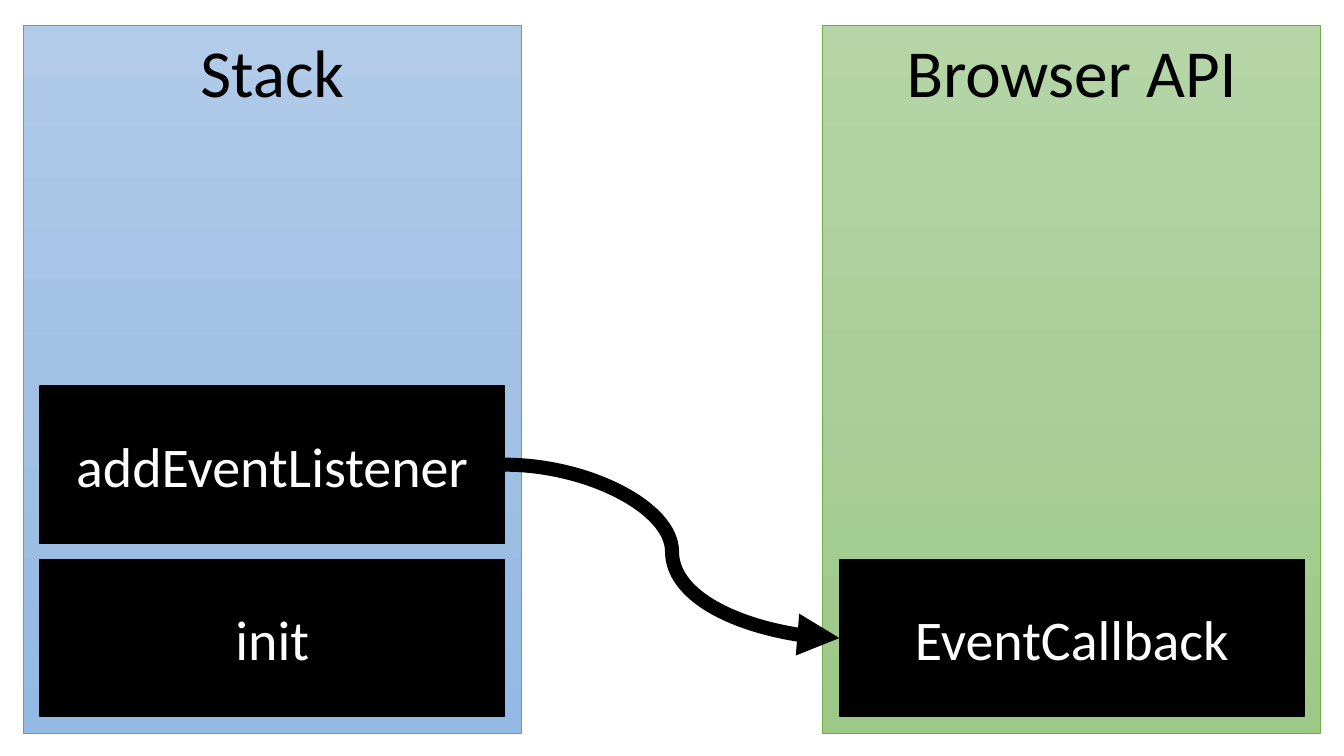
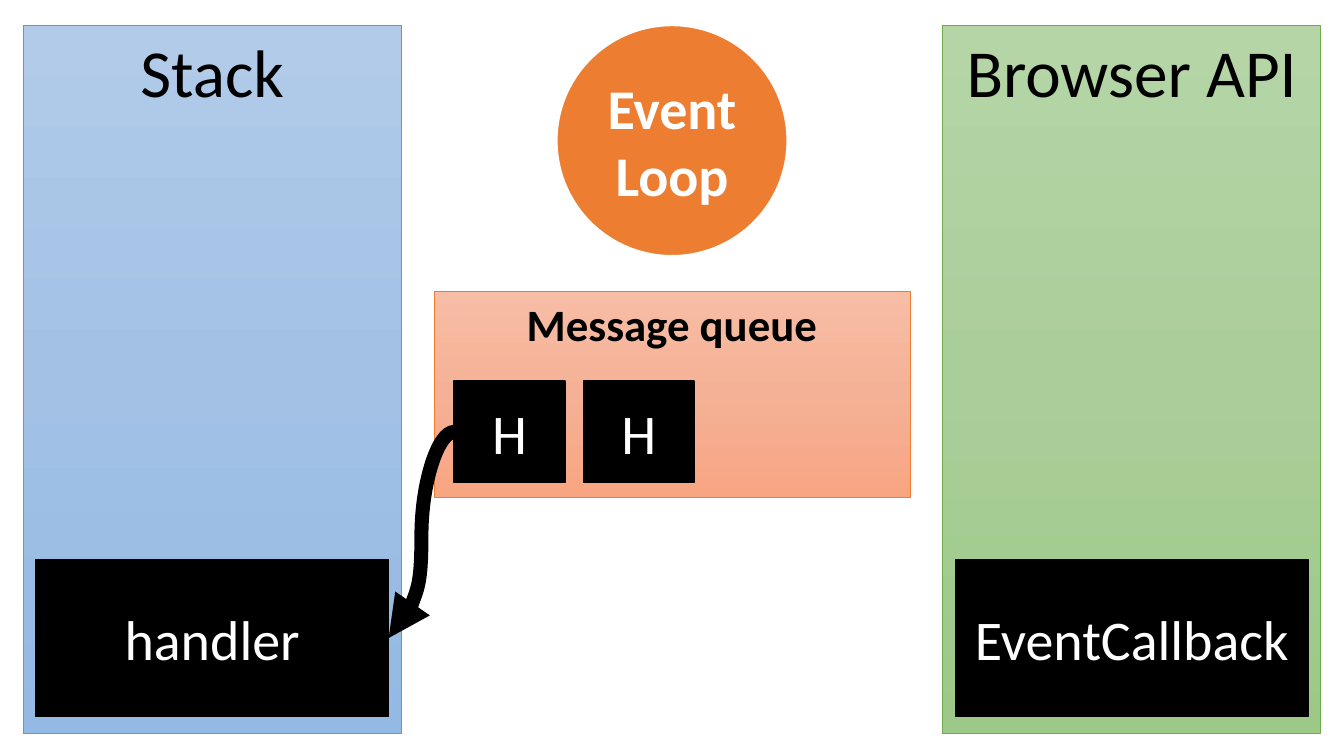
"""Build two slides showing how a browser schedules event callbacks."""
import copy
from dataclasses import dataclass

import lxml.etree
import pptx
import pptx.dml.color
import pptx.enum.shapes
import pptx.enum.text
import pptx.oxml.ns
import pptx.util

Inches = pptx.util.Inches
Pt = pptx.util.Pt
RGBColor = pptx.dml.color.RGBColor
Shapes = pptx.enum.shapes.MSO_SHAPE
Anchor = pptx.enum.text.MSO_ANCHOR
qn = pptx.oxml.ns.qn


@dataclass(frozen=True)
class Theme:
    font: str = "Calibri"
    black: str = "000000"
    white: str = "FFFFFF"
    orange: str = "ED7D31"
    blue_panel: tuple = ("B1CBE9", "A3C1E5", "93B9E4", "5B9BD5")
    green_panel: tuple = ("B5D5A7", "AACE9A", "9CC987", "70AD47")
    orange_panel: tuple = ("F7BDA5", "F5B196", "F8A582", "ED7D31")
    title_size: int = 48
    block_size: int = 40
    queue_size: int = 32
    arrow_width: int = 10


THEME = Theme()
SLIDE_WIDTH, SLIDE_HEIGHT = 13.33, 7.5
MARGIN, COLUMN_TOP, COLUMN_HEIGHT = 0.23, 0.25, 7.03
BLOCK_TOP, BLOCK_HEIGHT, BLOCK_STEP = 5.55, 1.56, 1.72
LEFT_SITE, RIGHT_SITE = 1, 3


def color(value):
    return RGBColor.from_string(value)


def add_box(slide, kind, box, text, size, ink, line, line_width, anchor=Anchor.MIDDLE, bold=False):
    shape = slide.shapes.add_shape(kind, *(Inches(length) for length in box))
    shape.shadow.inherit = False
    shape.line.color.rgb = color(line)
    shape.line.width = Pt(line_width)
    shape.text_frame.text = text
    shape.text_frame.word_wrap = True
    shape.text_frame.vertical_anchor = anchor
    for paragraph in shape.text_frame.paragraphs:
        paragraph.alignment = pptx.enum.text.PP_ALIGN.CENTER
        for run in paragraph.runs:
            run.font.name = THEME.font
            run.font.size = Pt(size)
            run.font.bold = bold
            run.font.color.rgb = color(ink)
    return shape


def fill_solid(shape, value):
    shape.fill.solid()
    shape.fill.fore_color.rgb = color(value)


def fill_gradient(shape, values):
    shape.fill.gradient()
    shape.fill.gradient_angle = 270
    stop_list = shape._element.spPr.find(".//" + qn("a:gsLst"))
    stop_list.append(copy.deepcopy(stop_list[-1]))
    for index, (stop, value) in enumerate(zip(shape.fill.gradient_stops, values)):
        stop.position = index / (len(values) - 1)
        stop.color.rgb = color(value)


def add_panel(slide, box, title, size, palette, bold=False):
    *gradient, line = palette
    panel = add_box(slide, Shapes.RECTANGLE, box, title, size, THEME.black, line, 0.5, Anchor.TOP, bold)
    fill_gradient(panel, gradient)


def add_block(slide, box, text):
    block = add_box(slide, Shapes.RECTANGLE, box, text, THEME.block_size, THEME.white, THEME.black, 1)
    fill_solid(block, THEME.black)
    return block


def add_column(slide, left, width, title, palette, block_width, calls):
    add_panel(slide, (left, COLUMN_TOP, width, COLUMN_HEIGHT), title, THEME.title_size, palette)
    block_left = left + (width - block_width) / 2
    return [
        add_block(slide, (block_left, BLOCK_TOP - level * BLOCK_STEP, block_width, BLOCK_HEIGHT), call)
        for level, call in enumerate(calls)
    ]


def add_columns(slide, width, block_width, stack_calls, browser_calls):
    right_column = SLIDE_WIDTH - MARGIN - width
    stack = add_column(slide, MARGIN, width, "Stack", THEME.blue_panel, block_width, stack_calls)
    browser = add_column(
        slide, right_column, width, "Browser API", THEME.green_panel, block_width, browser_calls
    )
    return stack, browser


def add_arrow(slide, source, source_site, target, target_site):
    connector = slide.shapes.add_connector(pptx.enum.shapes.MSO_CONNECTOR.CURVE, 0, 0, 0, 0)
    connector.begin_connect(source, source_site)
    connector.end_connect(target, target_site)
    connector.line.color.rgb = color(THEME.black)
    connector.line.width = Pt(THEME.arrow_width)
    properties = connector._element.spPr
    lxml.etree.SubElement(properties.find(qn("a:ln")), qn("a:tailEnd"), type="triangle")
    lxml.etree.SubElement(properties, qn("a:effectLst"))


def add_event_loop(slide):
    diameter = 2.29
    box = ((SLIDE_WIDTH - diameter) / 2, COLUMN_TOP, diameter, diameter)
    circle = add_box(
        slide, Shapes.OVAL, box, "Event\nLoop", THEME.block_size, THEME.white, THEME.white, 1.5, bold=True
    )
    fill_solid(circle, THEME.orange)


def add_message_queue(slide, messages):
    width = 4.72
    left = (SLIDE_WIDTH - width) / 2
    add_panel(
        slide, (left, 2.89, width, 2.04), "Message queue", THEME.queue_size, THEME.orange_panel, bold=True
    )
    return [
        add_block(slide, (left + 0.2 + index * 1.28, 3.78, 1.1, 1.01), message)
        for index, message in enumerate(messages)
    ]


def build_listener_slide(slide):
    stack, browser = add_columns(slide, 4.94, 4.61, ["init", "addEventListener"], ["EventCallback"])
    add_arrow(slide, stack[-1], RIGHT_SITE, browser[0], LEFT_SITE)


def build_queue_slide(slide):
    stack, _ = add_columns(slide, 3.75, 3.5, ["handler"], ["EventCallback"])
    add_event_loop(slide)
    messages = add_message_queue(slide, ["H", "H"])
    add_arrow(slide, messages[0], LEFT_SITE, stack[0], RIGHT_SITE)


def main():
    presentation = pptx.Presentation()
    presentation.slide_width = Inches(SLIDE_WIDTH)
    presentation.slide_height = Inches(SLIDE_HEIGHT)
    blank_layout = presentation.slide_layouts[6]
    for build in (build_listener_slide, build_queue_slide):
        build(presentation.slides.add_slide(blank_layout))
    presentation.save("out.pptx")


main()
